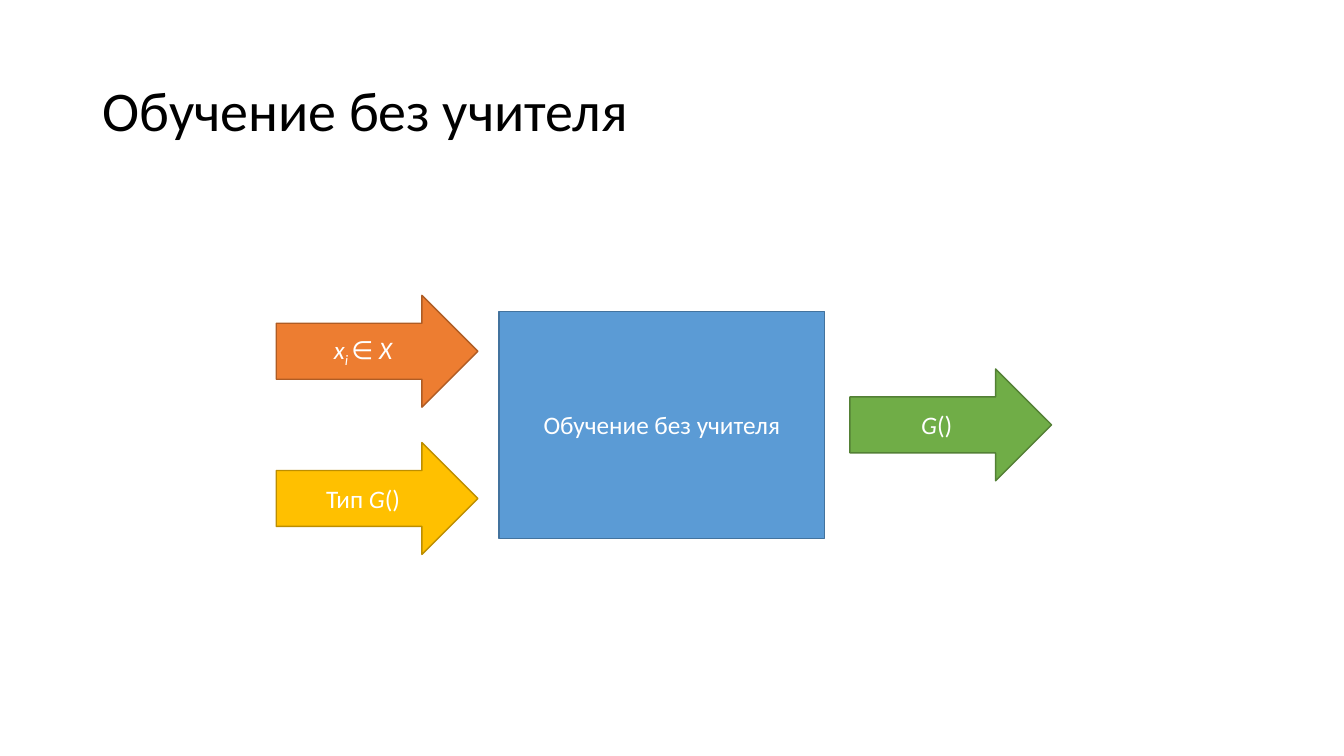
import pptx
import pptx.dml.color
import pptx.enum.shapes
import pptx.enum.text
import pptx.util

Inches = pptx.util.Inches
Pt = pptx.util.Pt
KINDS = pptx.enum.shapes.MSO_SHAPE
ALIGN = pptx.enum.text.PP_ALIGN

TITLE = "Обучение без учителя"
INPUTS = [
    ("ED7D31", "AF5C24", [("x", "i"), ("i ", "sub"), ("∈ ", ""), ("X", "i")]),
    ("FFC000", "BD8E00", [("Тип ", ""), ("G", "i"), ("()", "")]),
]
OUTPUT = ("70AD47", "538035", [("G", "i"), ("()", "")])


def color(code):
    return pptx.dml.color.RGBColor.from_string(code)


def write(shape, runs, size, ink, align):
    """Fill a shape with (text, style) runs; style is "", "i" or "sub"."""
    frame = shape.text_frame
    frame.word_wrap = True
    frame.vertical_anchor = pptx.enum.text.MSO_ANCHOR.MIDDLE
    para = frame.paragraphs[0]
    para.alignment = align
    for text, style in runs:
        run = para.add_run()
        run.text = text
        run.font.name = "Calibri"
        run.font.size = Pt(size)
        run.font.color.rgb = color(ink)
        run.font.italic = style in ("i", "sub")
        if style == "sub":
            run.font._element.set("baseline", "-25000")
    return para


def add_title(slide, text):
    box = slide.shapes.add_textbox(Inches(0.92), Inches(0.4), Inches(11.5), Inches(1.45))
    para = write(box, [(text, "")], 40, "000000", ALIGN.LEFT)
    para.line_spacing = 0.9


def add_block(slide, kind, left, top, width, height, fill, edge, runs):
    shape = slide.shapes.add_shape(
        kind, Inches(left), Inches(top), Inches(width), Inches(height))
    shape.shadow.inherit = False
    shape.fill.solid()
    shape.fill.fore_color.rgb = color(fill)
    shape.line.color.rgb = color(edge)
    shape.line.width = Pt(1)
    write(shape, runs, 18, "FFFFFF", ALIGN.CENTER)


def add_arrow(slide, left, top, fill, edge, runs):
    add_block(slide, KINDS.RIGHT_ARROW, left, top, 2, 1.11, fill, edge, runs)


def main():
    deck = pptx.Presentation()
    deck.slide_width = Inches(13.33)
    deck.slide_height = Inches(7.5)
    slide = deck.slides.add_slide(deck.slide_layouts[6])

    add_title(slide, TITLE)
    add_block(slide, KINDS.RECTANGLE, 4.95, 3.09, 3.23, 2.25,
              "5B9BD5", "43739E", [(TITLE, "")])
    for row, item in enumerate(INPUTS):
        add_arrow(slide, 2.74, 2.93 + 1.46 * row, *item)
    add_arrow(slide, 8.43, 3.66, *OUTPUT)
    deck.save("out.pptx")


if __name__ == "__main__":
    main()
